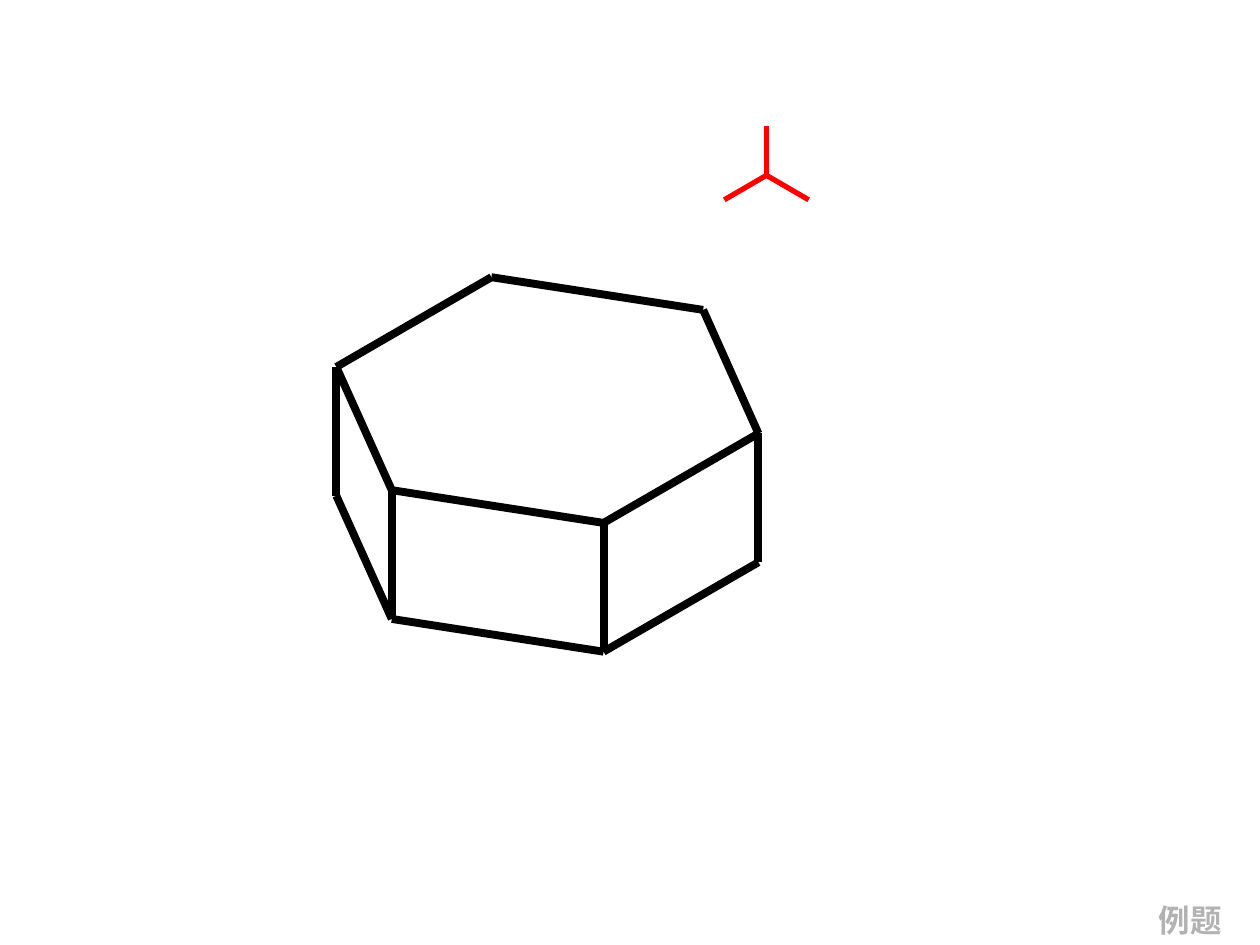
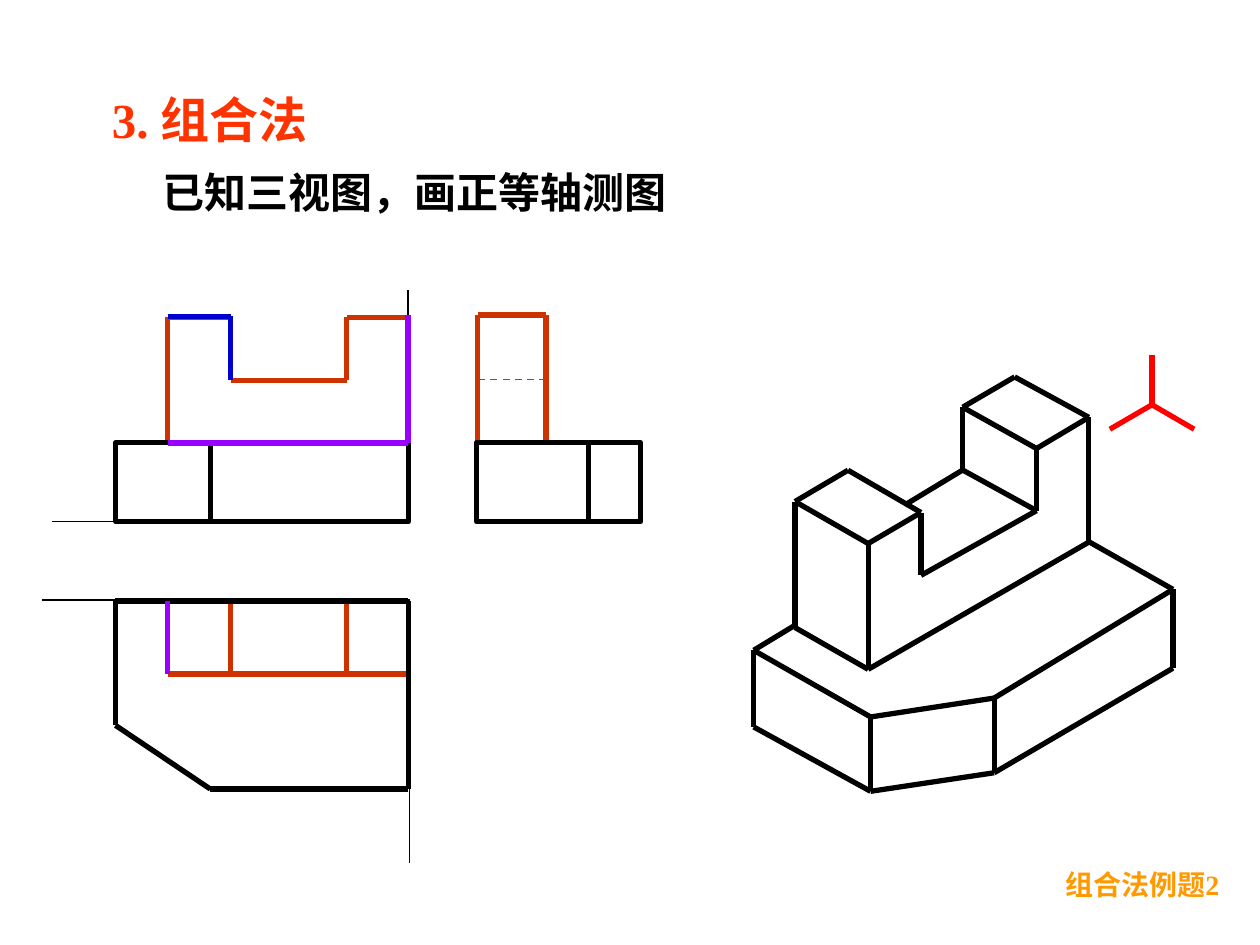
from itertools import pairwise

from lxml.etree import SubElement
from pptx import Presentation
from pptx.dml.color import RGBColor
from pptx.enum.dml import MSO_LINE_DASH_STYLE as DASH
from pptx.enum.shapes import MSO_CONNECTOR as CONN, MSO_SHAPE as SHAPE
from pptx.enum.text import MSO_ANCHOR as ANCHOR, MSO_AUTO_SIZE as AUTO, PP_ALIGN as ALIGN
from pptx.oxml.ns import qn
from pptx.util import Pt

FONT = "Times New Roman"
BLACK, RED, BRICK = "000000", "FF0000", "CC3300"
PURPLE, BLUE, GREY = "9900FF", "0000CC", "B2B2B2"
TITLE, ORANGE = "FF3300", "FF9900"


def rgb(value):
    return RGBColor.from_string(value)


def set_all(target, **values):
    for name, value in values.items():
        setattr(target, name, value)


def set_line(shape, color, width, dash=None):
    shape.line.color.rgb = rgb(color)
    set_all(shape.line, width=Pt(width), dash_style=dash)


def add_line(s, start, end, color=BLACK, width=3, dash=None):
    c = s.shapes.add_connector(CONN.STRAIGHT, *(Pt(v) for v in (*start, *end)))
    set_line(c, color, width, dash)
    SubElement(c._element.spPr, qn("a:effectLst"))


def add_path(s, points, color=BLACK, width=3, closed=False):
    ends = points + points[:1] if closed else points
    for start, end in pairwise(ends):
        add_line(s, start, end, color, width)


def add_rect(s, *box):
    sp = s.shapes.add_shape(SHAPE.RECTANGLE, *(Pt(v) for v in box))
    sp.shadow.inherit = False
    sp.fill.background()
    set_line(sp, BLACK, 3)


def write(sp, text, size, color, align=ALIGN.LEFT, anchor=ANCHOR.TOP, wrap=False):
    tf = sp.text_frame
    set_all(tf, auto_size=AUTO.NONE, word_wrap=wrap, vertical_anchor=anchor)
    p = tf.paragraphs[0]
    p.alignment = align
    r = p.add_run()
    r.text = text
    set_all(r.font, name=FONT, size=Pt(size), bold=True)
    r.font.color.rgb = rgb(color)


def add_text(s, box, text, size, color, **layout):
    sp = s.shapes.add_textbox(*(Pt(v) for v in box))
    write(sp, text, size, color, **layout)


def set_title(s, box, text):
    sp = s.shapes.title
    set_all(sp, **dict(zip(("left", "top", "width", "height"), (Pt(v) for v in box))))
    write(sp, text, 28, TITLE, ALIGN.CENTER, ANCHOR.MIDDLE, True)


def add_axes(s, x, y):
    for dx, dy in ((24.1, 14), (0, -28.2), (-24.1, 14)):
        add_line(s, (x, y), (x + dx, y + dy), RED)


def add_hexagonal_prism(s):
    height = 73.6
    front = [(192.2, 209.7), (223.9, 280.1), (344.9, 298.8), (433.4, 247.7)]
    back = [(401.8, 177.1), (280.8, 158.4)]
    base = [(x, y + height) for x, y in front]
    add_path(s, front + back, width=4.5, closed=True)
    add_path(s, base, width=4.5)
    for top, bottom in zip(front, base):
        add_line(s, top, bottom, width=4.5)


def add_upright_views(s):
    left, slot_left, slot_right, right = 95.8, 131.8, 198, 233.5
    top, slot, seat = 181.4, 217.4, 253.4
    add_path(s, [(left, seat), (left, top), (slot_left, top), (slot_left, slot),
                 (slot_right, slot), (slot_right, top), (right, top), (right, seat)], BRICK)
    add_path(s, [(left, 343.4), (left, 385.2), (right, 385.2)], BRICK)
    for x in (slot_left, slot_right):
        add_line(s, (x, 343.4), (x, 385.2), BRICK)
    add_path(s, [(272.9, seat), (272.9, 180), (312, 180), (312, seat)], BRICK)
    add_line(s, (312, 216.9), (272, 216.9), BRICK, 1, DASH.DASH)


def add_base_views(s):
    for start, end in (((234, 342.9), (234, 493.2)), ((233.1, 298), (233.1, 165.6)),
                       ((234.7, 298), (30, 298)), ((234, 342.9), (24, 342.9))):
        add_line(s, start, end, width=0.75)
    add_path(s, [(66, 343.4), (233.4, 343.4), (233.4, 450.9), (120.2, 450.9),
                 (66, 414.5)], closed=True)
    add_rect(s, 66.2, 252.9, 167.2, 45.3)
    add_rect(s, 272.4, 252.9, 93.6, 45.3)
    for x in (120.2, 336.4):
        add_line(s, (x, 298), (x, 252.9))


def add_highlights(s):
    add_path(s, [(95.8, 253.1), (233.1, 253.1), (233.1, 180)], PURPLE)
    add_line(s, (95.8, 343.4), (95.8, 385.2), PURPLE)
    add_path(s, [(95.8, 180.7), (131.8, 180.7), (131.8, 217.4)], BLUE)


def add_upright_solid(s):
    near_post = [(454.3, 286.6), (496.1, 310.6), (526.3, 292.9), (484.6, 268.7)]
    far_post = [(550.1, 232.7), (592.3, 256.3), (622.2, 238.5), (579.8, 215.4)]
    foot = [(454.3, 358.6), (496.1, 382.5), (622.2, 309.8)]
    slot_near, slot_far, slot_back = (526.3, 328.8), (592.3, 291.8), (550.1, 268.6)
    for post in (near_post, far_post):
        add_path(s, post, closed=True)
    add_path(s, foot)
    for top, bottom in zip((near_post[0], near_post[1], far_post[2]), foot):
        add_line(s, top, bottom)
    add_path(s, [near_post[2], slot_near, slot_far, far_post[1]])
    add_path(s, [far_post[0], slot_back, slot_far])
    add_line(s, slot_back, (517, 288.6))


def add_base_solid(s):
    top = [(430.7, 371.6), (497.5, 409.7), (568.1, 398.9), (670.3, 336.8)]
    bottom = [(430.7, 415.4), (497.5, 452.2), (568.1, 441.6), (670.3, 381.8)]
    add_path(s, [(454.3, 357.3)] + top + [(621.2, 309)])
    add_path(s, bottom)
    for upper, lower in zip(top, bottom):
        add_line(s, upper, lower)


def build_prism_slide(prs):
    s = prs.slides.add_slide(prs.slide_layouts[6])
    add_hexagonal_prism(s)
    add_axes(s, 438, 100.2)
    add_text(s, (655.2, 511.2, 50.4, 28.8), "例题", 18, GREY)


def build_combination_slide(prs):
    s = prs.slides.add_slide(prs.slide_layouts[5])
    set_title(s, (54, 48.2, 131.8, 39.6), "3. 组合法")
    add_upright_views(s)
    add_base_views(s)
    add_text(s, (85.8, 86.4, 302.4, 46), "已知三视图，画正等轴测图", 24, BLACK,
             anchor=ANCHOR.MIDDLE)
    add_highlights(s)
    add_upright_solid(s)
    add_base_solid(s)
    add_axes(s, 658.3, 231.3)
    add_text(s, (601.9, 492.5, 105.8, 26.6), "组合法例题2", 16, ORANGE)


def main():
    prs = Presentation()
    set_all(prs, slide_width=Pt(720), slide_height=Pt(540))
    build_prism_slide(prs)
    build_combination_slide(prs)
    prs.save("out.pptx")


if __name__ == "__main__":
    main()
